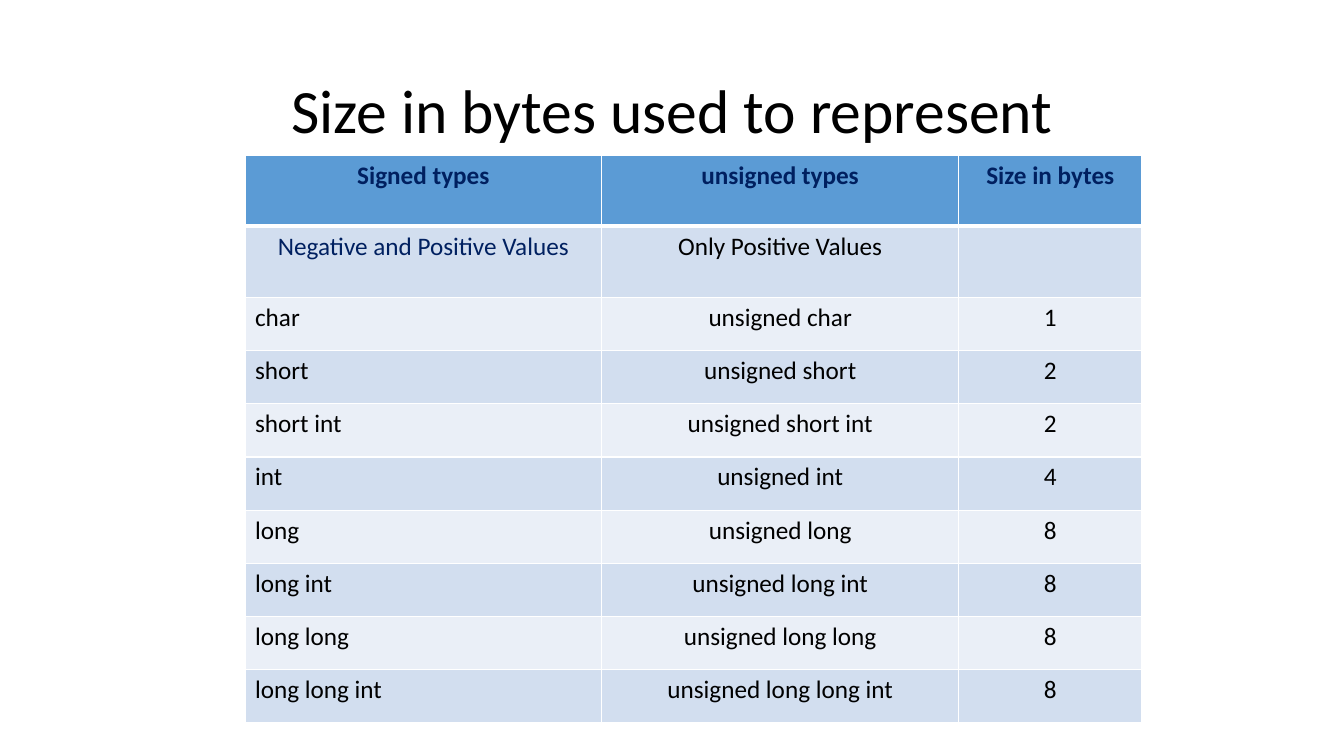
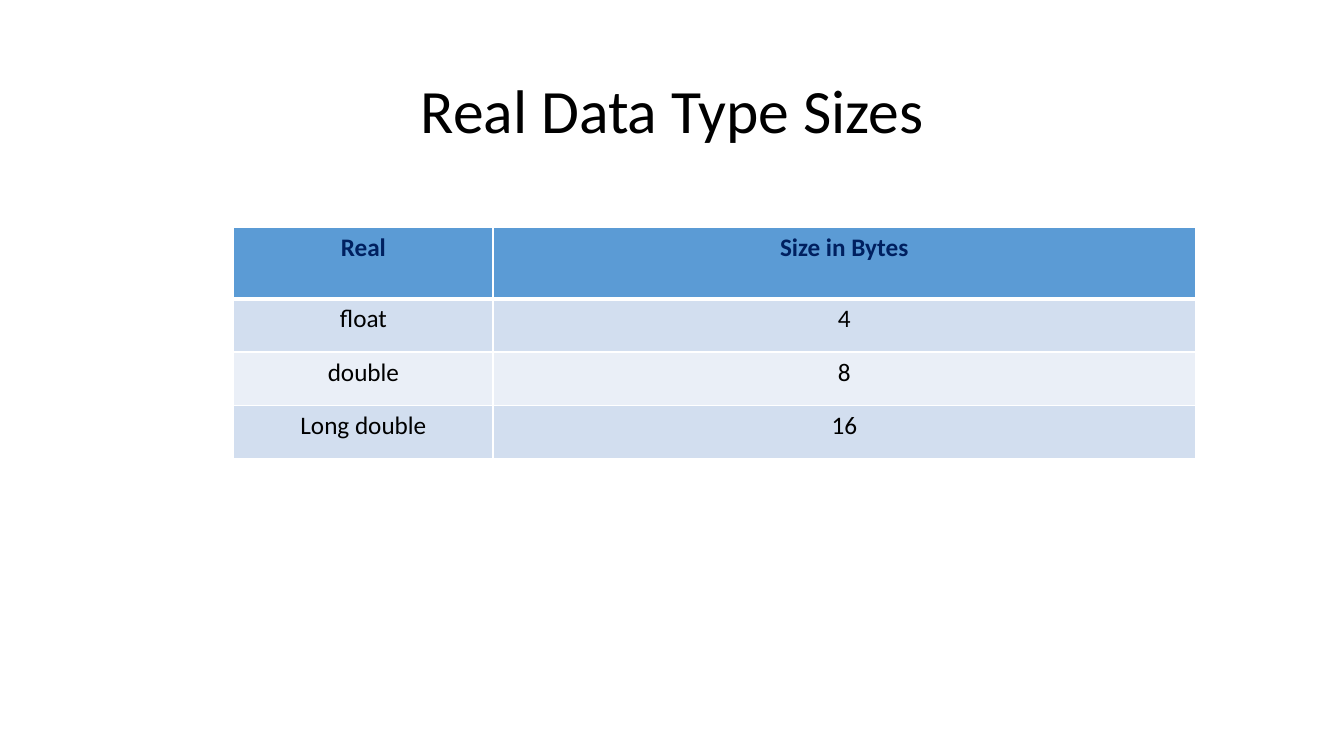
"""Two slides of C data type sizes, each a title above a banded table."""
from dataclasses import dataclass

from lxml import etree
from pptx import Presentation
from pptx import util as u
from pptx.dml.color import RGBColor
from pptx.enum import text
from pptx.oxml import ns


@dataclass(frozen=True)
class Theme:
    """Colours, type sizes and the measures that the slides share."""
    font: str = "Calibri"
    title_size: int = 44
    table_size: int = 18
    ink: str = "000000"
    navy: str = "002060"
    header: str = "5B9BD5"
    bands: tuple = ("D2DEEF", "EAEFF7")
    border: str = "FFFFFF"
    thin: int = 1
    thick: int = 3
    title_box: tuple = (6.9, 5.33, 86.25, 19.33)
    tall_row: float = 9.4
    row: float = 7.04


THEME = Theme()
WIDTH, HEIGHT = u.Inches(13.333), u.Inches(7.5)
LEFT, CENTER = text.PP_ALIGN.LEFT, text.PP_ALIGN.CENTER

INTEGER_NAMES = (("char", 1), ("short", 2), ("short int", 2), ("int", 4),
                 ("long", 8), ("long int", 8), ("long long", 8),
                 ("long long int", 8))
INTEGER_ROWS = [
    ("Signed types", "unsigned types", "Size in bytes"),
    ("Negative and Positive Values", "Only Positive Values", ""),
    *((name, f"unsigned {name}", str(size)) for name, size in INTEGER_NAMES),
]
REAL_ROWS = [("Real", "Size in Bytes"), ("float", "4"),
             ("double", "8"), ("Long double", "16")]


def across(share):
    """Turn a percentage of the slide's width into a length."""
    return round(WIDTH * share / 100)


def down(share):
    """Turn a percentage of the slide's height into a length."""
    return round(HEIGHT * share / 100)


def style_paragraph(paragraph, size, color, bold=False, align=CENTER):
    """Format a paragraph and its runs."""
    paragraph.alignment = align
    for run in paragraph.runs:
        run.font.name = THEME.font
        run.font.size = u.Pt(size)
        run.font.bold = bold
        run.font.color.rgb = RGBColor.from_string(color)


def add_title(slide, wording):
    """Add the centred slide title."""
    left, top, width, height = THEME.title_box
    shape = slide.shapes.add_textbox(across(left), down(top), across(width), down(height))
    frame = shape.text_frame
    frame.word_wrap = True
    frame.vertical_anchor = text.MSO_ANCHOR.MIDDLE
    frame.text = wording
    paragraph = frame.paragraphs[0]
    paragraph.line_spacing = 0.9
    style_paragraph(paragraph, THEME.title_size, THEME.ink)


def set_borders(cell, row_index):
    """Draw the cell borders, with a thick rule under the header row."""
    widths = {"lnL": THEME.thin, "lnR": THEME.thin,
              "lnT": THEME.thick if row_index == 1 else THEME.thin,
              "lnB": THEME.thick if row_index == 0 else THEME.thin}
    properties = cell._tc.get_or_add_tcPr()
    for side, width in widths.items():
        line = etree.SubElement(properties, ns.qn(f"a:{side}"), w=str(u.Pt(width)))
        fill = etree.SubElement(line, ns.qn("a:solidFill"))
        etree.SubElement(fill, ns.qn("a:srgbClr"), val=THEME.border)


def fill_cell(cell, wording, row_index, color, align):
    """Write one cell, with its borders and band colour."""
    is_header = row_index == 0
    set_borders(cell, row_index)
    cell.fill.solid()
    band = THEME.header if is_header else THEME.bands[(row_index - 1) % 2]
    cell.fill.fore_color.rgb = RGBColor.from_string(band)
    cell.text_frame.text = wording
    style_paragraph(cell.text_frame.paragraphs[0], THEME.table_size, color, is_header, align)


def add_size_table(slide, rows, left, top, columns, tall_rows=1, names_align=CENTER):
    """Add a table whose first tall_rows rows are headings."""
    heights = [THEME.tall_row if index < tall_rows else THEME.row
               for index in range(len(rows))]
    table = slide.shapes.add_table(
        len(rows), len(columns), across(left), down(top),
        across(sum(columns)), down(sum(heights))).table
    for column, width in zip(table.columns, columns):
        column.width = across(width)
    for row_index, wordings in enumerate(rows):
        table.rows[row_index].height = down(heights[row_index])
        for column_index, wording in enumerate(wordings):
            is_name = column_index == 0
            is_heading = row_index < tall_rows
            is_navy = row_index == 0 or (is_heading and is_name)
            fill_cell(table.cell(row_index, column_index), wording, row_index,
                      THEME.navy if is_navy else THEME.ink,
                      names_align if is_name and not is_heading else CENTER)


def add_slide(presentation, title):
    """Add a blank slide with its title."""
    slide = presentation.slides.add_slide(presentation.slide_layouts[6])
    add_title(slide, title)
    return slide


def main():
    """Build and save the presentation."""
    presentation = Presentation()
    presentation.slide_width, presentation.slide_height = WIDTH, HEIGHT
    integers = add_slide(presentation, "Size in bytes used to represent")
    add_size_table(integers, INTEGER_ROWS, 18.23, 20.53, (26.55, 26.55, 13.65),
                   tall_rows=2, names_align=LEFT)
    reals = add_slide(presentation, "Real Data Type Sizes")
    add_size_table(reals, REAL_ROWS, 17.4, 30.13, (19.28, 52.28))
    presentation.save("out.pptx")


main()
